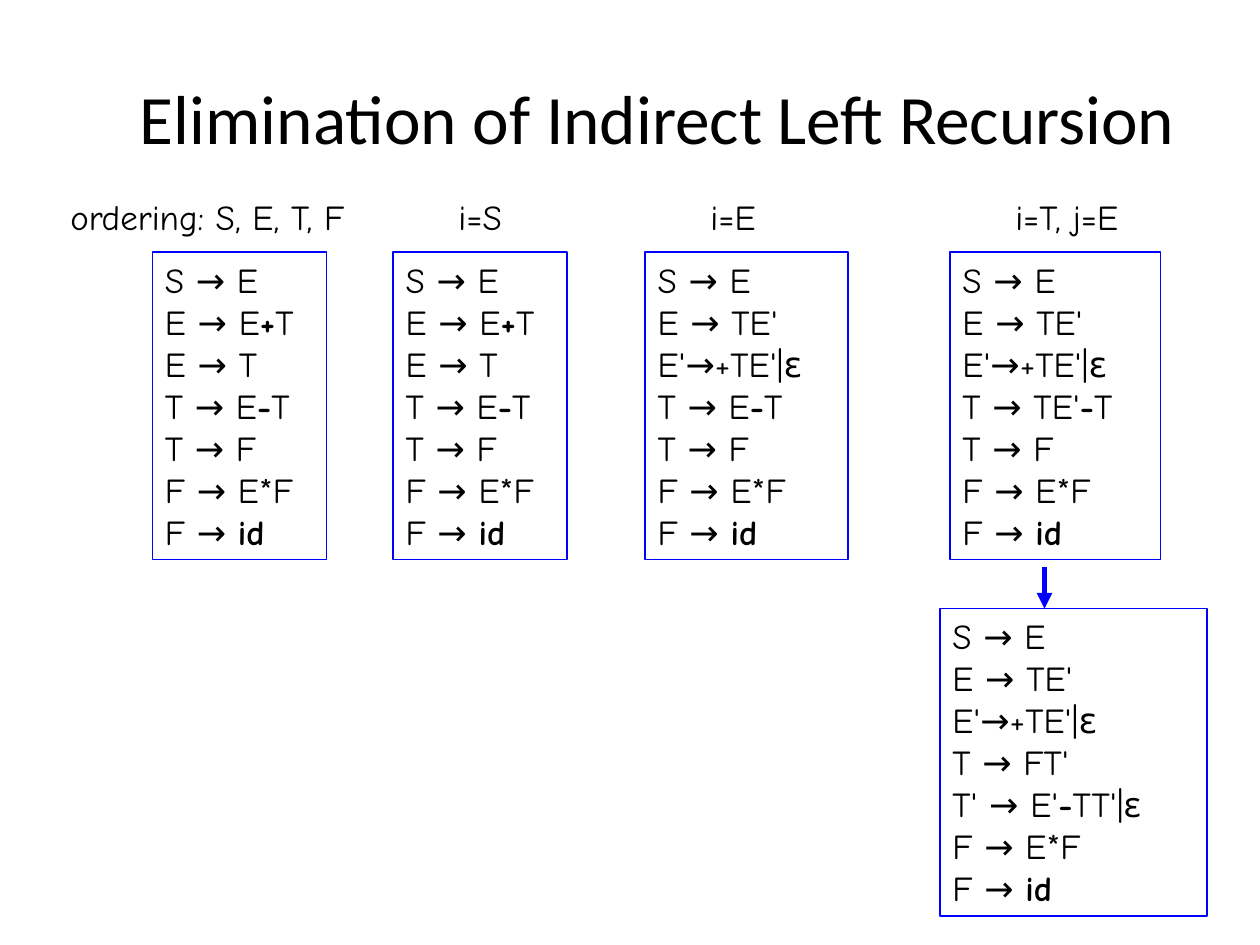
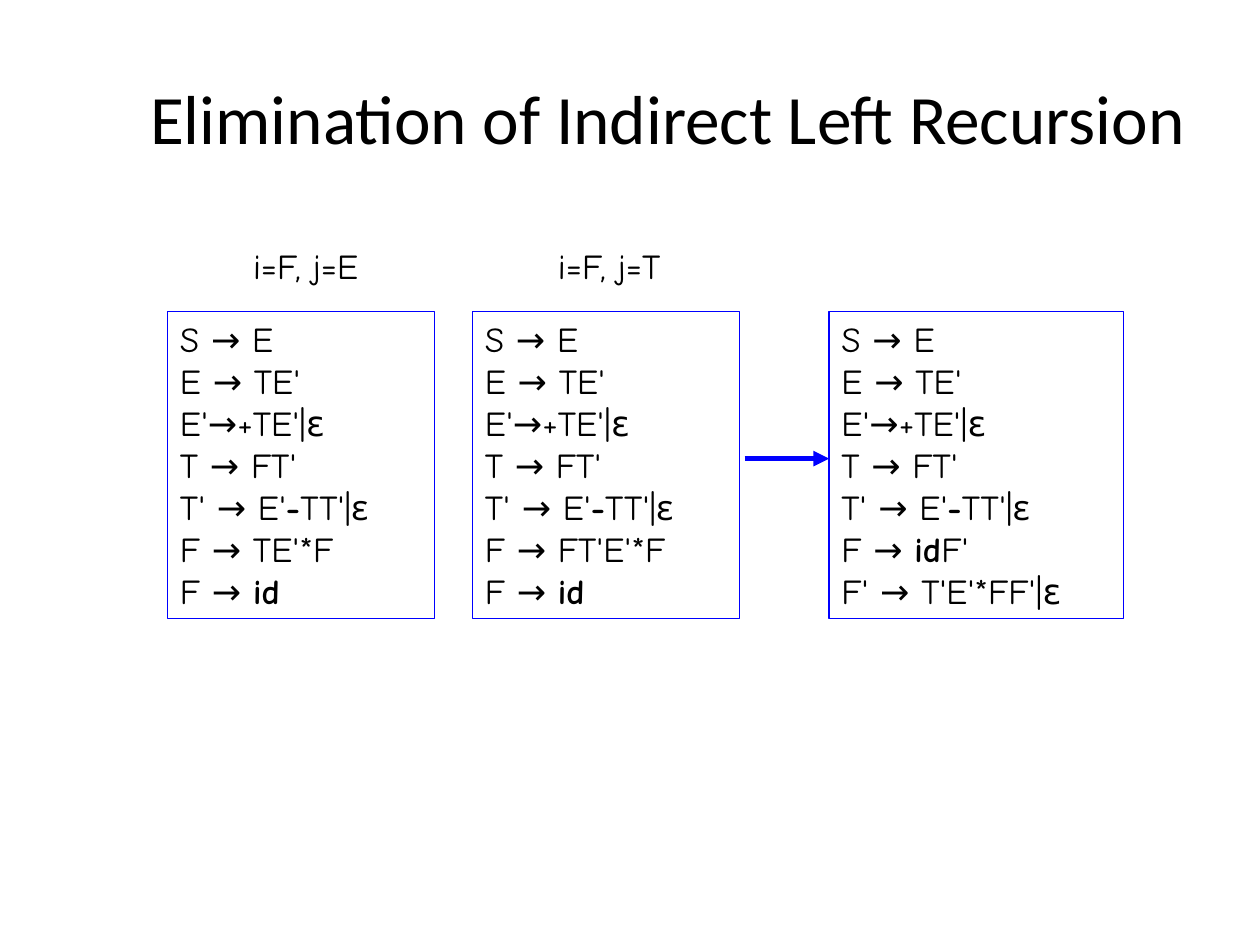
from lxml import etree
from pptx import Presentation
from pptx.dml.color import RGBColor
from pptx.enum.shapes import MSO_CONNECTOR, MSO_SHAPE
from pptx.enum.text import MSO_ANCHOR, MSO_AUTO_SIZE, PP_ALIGN
from pptx.oxml.ns import qn
from pptx.util import Inches, Pt

BLACK, BLUE = "000000", "0000FF"
TITLE = "Elimination of Indirect Left Recursion"
TITLE_RIGHT = 9.77
BOX_H, LABEL_H = 2.44, 0.43


def rgb(color):
    return RGBColor.from_string(color)


def write_lines(tf, lines, font="Comic Neue", size=20, align=PP_ALIGN.LEFT):
    """Write one paragraph per line; underscores switch bold on and off."""
    for i, line in enumerate(lines):
        p = tf.paragraphs[0] if i == 0 else tf.add_paragraph()
        p.alignment = align
        for k, row in enumerate(line.split("\n")):
            if k:
                p.add_line_break()
            for n, part in enumerate(row.split("_")):
                if part:
                    r = p.add_run()
                    r.text = part
                    fmt = {"name": font, "size": Pt(size), "bold": n % 2 == 1}
                    for key, value in fmt.items():
                        setattr(r.font, key, value)
                    r.font.color.rgb = rgb(BLACK)


# Productions that recur from one step to the next
e_left = ["S → E\nE → E_+_T", "E → T"]
e_done = ["S → E\nE → TE'", "E'→+TE'|ε"]
t_left = ["T → E_-_T", "T → F"]
t_done = ["T → FT'", "T' → E'_-_TT'|ε"]
f_left = ["F → E*F", "F → _id_"]

start = e_left + t_left + f_left
e_step = e_done + t_left + f_left
t_substituted = e_done + ["T → TE'_-_T", "T → F"] + f_left
t_step = e_done + t_done + f_left
f_by_e = e_done + t_done + ["F → TE'*F", "F → _id_"]
f_by_t = e_done + t_done + ["F → FT'E'*F", "F → _id_"]
final = e_done + t_done + ["F → _id_F'", "F' → T'E'*FF'|ε"]

# labels: text, left, width; grammars: left, top, width, productions
slides = [
    {
        "title_left": 0.67,
        "label_top": 1.5,
        "labels": [("ordering: S, E, T, F", 0.46, 2.67), ("i=S", 3.54, 0.61),
                   ("i=E", 5.54, 0.6), ("i=T, j=E", 7.96, 1.2)],
        "grammars": [(1.21, 2, 1.38, start), (3.12, 2, 1.38, start),
                     (5.12, 2, 1.61, e_step), (7.54, 2, 1.67, t_substituted),
                     (7.46, 4.83, 2.12, t_step)],
        "arrow": (8.29, 4.5, 8.29, 4.83),
    },
    {
        "title_left": 0.83,
        "label_top": 1.89,
        "labels": [("i=F, j=E", 1.91, 1.18), ("i=F, j=T", 4.33, 1.19)],
        "grammars": [(1.33, 2.47, 2.12, f_by_e), (3.75, 2.47, 2.12, f_by_t),
                     (6.58, 2.47, 2.34, final)],
        "arrow": (5.91, 3.64, 6.58, 3.64),
    },
]
fitted = {"word_wrap": False, "auto_size": MSO_AUTO_SIZE.SHAPE_TO_FIT_TEXT,
          "vertical_anchor": MSO_ANCHOR.TOP}

prs = Presentation()
prs.slide_width, prs.slide_height = Inches(10), Inches(7.5)

for content in slides:
    s = prs.slides.add_slide(prs.slide_layouts[5])

    title = s.shapes.title
    left = content["title_left"]
    title.left, title.top = Inches(left), Inches(0.3)
    title.width, title.height = Inches(TITLE_RIGHT - left), Inches(1.25)
    title.text_frame.vertical_anchor = MSO_ANCHOR.MIDDLE
    write_lines(title.text_frame, [TITLE], "Calibri", 39.6, PP_ALIGN.CENTER)

    texts = []
    for text, left, width in content["labels"]:
        label = s.shapes.add_textbox(Inches(left), Inches(content["label_top"]),
                                     Inches(width), Inches(LABEL_H))
        texts.append((label.text_frame, [text]))

    for left, top, width, productions in content["grammars"]:
        box = s.shapes.add_shape(MSO_SHAPE.RECTANGLE, Inches(left), Inches(top),
                                 Inches(width), Inches(BOX_H))
        box.shadow.inherit = False
        box.fill.background()
        box.line.color.rgb = rgb(BLUE)
        box.line.width = Pt(0.75)
        texts.append((box.text_frame, productions))

    for tf, lines in texts:
        for key, value in fitted.items():
            setattr(tf, key, value)
        write_lines(tf, lines)

    arrow = s.shapes.add_connector(MSO_CONNECTOR.STRAIGHT,
                                   *[Inches(v) for v in content["arrow"]])
    arrow.line.color.rgb = rgb(BLUE)
    arrow.line.width = Pt(3)
    etree.SubElement(arrow.line._get_or_add_ln(), qn("a:tailEnd"), type="triangle")
    etree.SubElement(arrow._element.spPr, qn("a:effectLst"))

prs.save("out.pptx")
